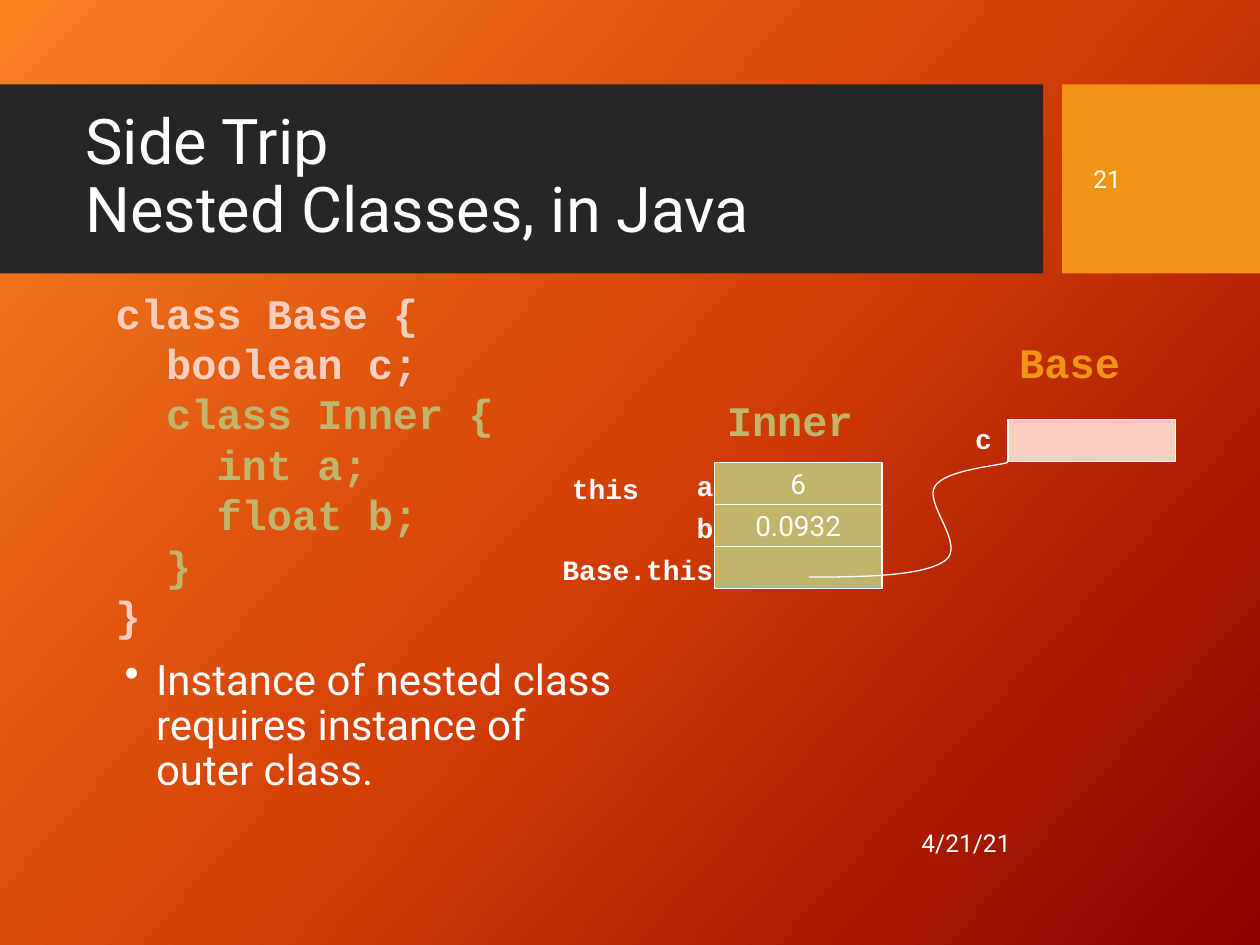
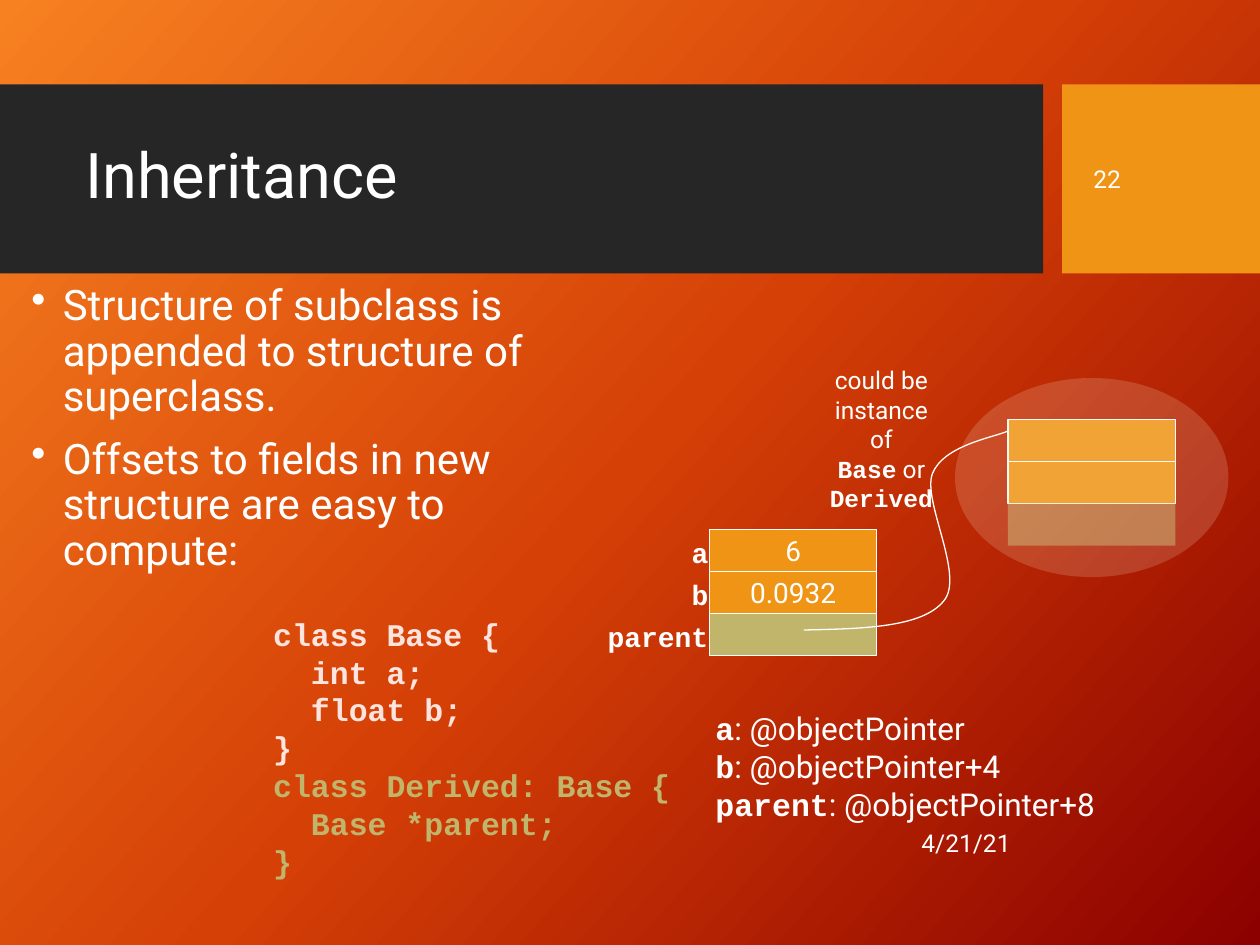
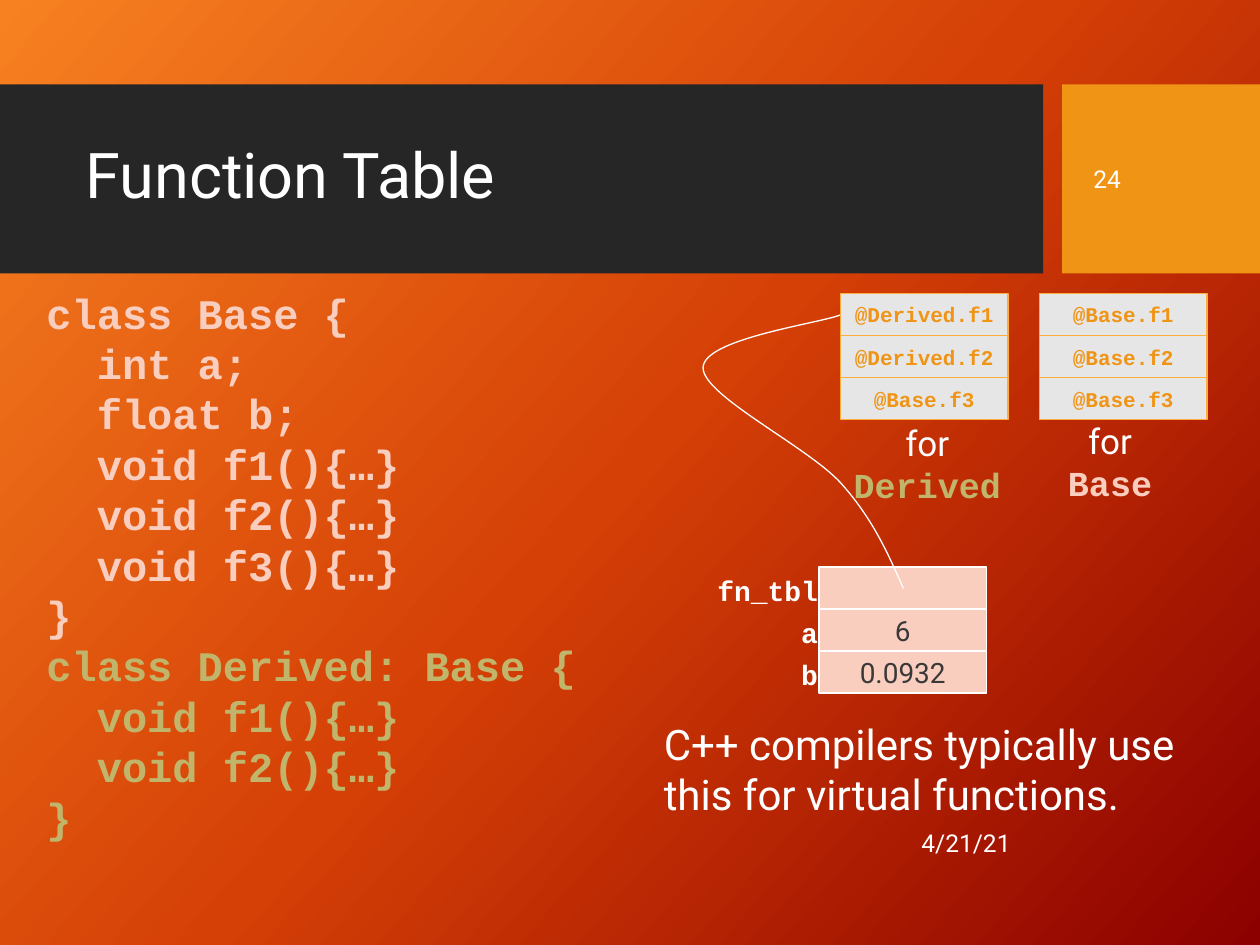
from copy import deepcopy
from dataclasses import dataclass
from typing import NamedTuple, Optional, Sequence, Union

from pptx import Presentation
from pptx.dml.color import RGBColor
from pptx.enum.shapes import MSO_SHAPE as Preset
from pptx.enum.text import MSO_ANCHOR as Anchor, PP_ALIGN as Align
from pptx.oxml.ns import qn
from pptx.oxml.xmlchemy import OxmlElement as make
from pptx.util import Inches, Pt

WHITE = RGBColor(0xFF, 0xFF, 0xFF)
DARK = RGBColor(0x26, 0x26, 0x26)
INK = RGBColor(0x3A, 0x38, 0x38)
AMBER = RGBColor(0xF0, 0x94, 0x15)
GOLD = RGBColor(0xFF, 0xAE, 0x3E)
CREAM = RGBColor(0xFC, 0xE8, 0xCF)
PINK = RGBColor(0xFA, 0xCE, 0xBE)
BLUSH = RGBColor(0xFE, 0xE4, 0xDE)
OLIVE = RGBColor(0xC1, 0xB5, 0x6B)
SILVER = RGBColor(0xE7, 0xE6, 0xE6)
GLOW = (
    (0, RGBColor(0xF7, 0x81, 0x21)),
    (0.5, RGBColor(0xD5, 0x40, 0x06)),
    (1, RGBColor(0x8C, 0x00, 0x00)),
)
SANS, MONO = "Roboto", "Courier New"
DATE = "4/21/21"
CELL = 1.33
ROW = 1 / 3


class Box(NamedTuple):
    left: float
    top: float
    width: float
    height: float

    def size(self) -> list:
        return [Inches(side) for side in self]


@dataclass
class Run:
    text: str
    font: str = SANS
    color: Optional[RGBColor] = None
    bold: bool = False


@dataclass
class Look:
    fill: RGBColor
    line: Optional[RGBColor] = WHITE
    color: RGBColor = WHITE
    font: str = SANS
    size: float = 16
    bold: bool = False
    alpha: Optional[int] = None


Para = Union[str, Sequence[Run]]
Point = tuple[float, float]
OLIVES = Look(OLIVE)
AMBERS = Look(AMBER)
PINKS = Look(PINK, color=INK)
TABLE = Look(SILVER, line=GOLD, color=AMBER, font=MONO, size=12, bold=True)


def write(frame, text: Union[str, Sequence[Para]], *, size: float,
          font: str = SANS, color: RGBColor = WHITE, bold: bool = False,
          align=Align.LEFT, anchor=Anchor.TOP, wrap: bool = True,
          lead: Optional[float] = None, before: float = 0,
          bullet: bool = False) -> None:
    frame.word_wrap = wrap
    frame.vertical_anchor = anchor
    paras = [text] if isinstance(text, str) else text
    for at, para in enumerate(paras):
        line = frame.add_paragraph() if at else frame.paragraphs[0]
        line.alignment = align
        if lead:
            line.line_spacing = lead
        if at and before:
            line.space_before = Pt(before)
        if bullet:
            mark(line)
        runs = [Run(para, font, color, bold)] if isinstance(para, str) else para
        for run in runs:
            for turn, piece in enumerate(run.text.split("\n")):
                if turn:
                    line.add_line_break()
                if not piece:
                    continue
                part = line.add_run()
                part.text = piece
                part.font.name = run.font
                part.font.size = Pt(size)
                part.font.bold = run.bold
                part.font.color.rgb = run.color or color


def mark(line) -> None:
    props = line._p.get_or_add_pPr()
    props.set("marL", str(Inches(0.25)))
    props.set("indent", str(Inches(-0.25)))
    sign = make("a:buChar")
    sign.set("char", "•")
    props.append(sign)


def note(slide, box: Box, text: Union[str, Sequence[Para]], **form) -> None:
    write(slide.shapes.add_textbox(*box.size()).text_frame, text, **form)


def block(slide, box: Box, look: Look, text: str = "",
          preset=Preset.RECTANGLE) -> None:
    shape = slide.shapes.add_shape(preset, *box.size())
    shape.shadow.inherit = False
    shape.fill.solid()
    shape.fill.fore_color.rgb = look.fill
    if look.alpha:
        alpha = make("a:alpha")
        alpha.set("val", str(look.alpha * 1000))
        shape.element.find(".//" + qn("a:srgbClr")).append(alpha)
    if look.line:
        shape.line.color.rgb = look.line
        shape.line.width = Pt(0.75)
    else:
        shape.line.fill.background()
    if text:
        write(shape.text_frame, text, size=look.size, font=look.font,
              color=look.color, bold=look.bold, align=Align.CENTER,
              anchor=Anchor.MIDDLE, wrap=False)


def label(slide, right: float, top: float, text: str) -> None:
    width = 0.2 + 0.14 * len(text)
    note(slide, Box(right - width, top, width, 0.37), text, size=16,
         font=MONO, bold=True, align=Align.RIGHT, wrap=False)


def stack(slide, left: float, top: float,
          cells: Sequence[tuple[str, str, Look]]) -> None:
    for at, (name, value, look) in enumerate(cells):
        high = top + at * ROW
        block(slide, Box(left, high, CELL, ROW), look, value)
        if name:
            label(slide, left + 0.09, high, name)


def code(slide, box: Box, size: float, *parts: tuple[RGBColor, str]) -> None:
    lines = [[Run(line, MONO, color, True)]
             for color, text in parts for line in text.split("\n")]
    note(slide, box, lines, size=size, wrap=False)


def curve(slide, start: Point, *points: Point) -> None:
    pen = slide.shapes.build_freeform(*map(Inches, start))
    pen.add_line_segments([(Inches(x), Inches(y)) for x, y in points],
                          close=False)
    shape = pen.convert_to_shape()
    shape.shadow.inherit = False
    shape.fill.background()
    shape.line.color.rgb = WHITE
    shape.line.width = Pt(0.75)
    track = shape.element.find(".//" + qn("a:path"))
    steps = track.findall(qn("a:lnTo"))
    for at in range(0, len(steps), 3):
        bend = make("a:cubicBezTo")
        for step in steps[at:at + 3]:
            bend.append(step[0])
            track.remove(step)
        track.append(bend)


def points(slide, box: Box, *text: str) -> None:
    note(slide, box, text, size=24, lead=0.9, before=10, bullet=True)


def paint(master) -> None:
    fill = master.background.fill
    fill.gradient()
    fill.gradient_angle = 360 - 42
    stops = master.element.find(".//" + qn("p:bg")).find(".//" + qn("a:gsLst"))
    stops.insert(1, deepcopy(stops[0]))
    for stop, (place, color) in zip(fill.gradient_stops, GLOW):
        stop.position = place
        stop.color.rgb = color


def start(deck, title: str, page: int):
    slide = deck.slides.add_slide(deck.slide_layouts[6])
    block(slide, Box(0, 0.67, 8.28, 1.5), Look(DARK, line=None))
    block(slide, Box(8.43, 0.67, 1.57, 1.5), Look(AMBER, line=None))
    note(slide, Box(0.58, 0.82, 7.54, 1.18), title, size=36, lead=0.9,
         anchor=Anchor.MIDDLE)
    note(slide, Box(5.87, 6.49, 2.25, 0.4), DATE, size=14,
         align=Align.RIGHT, anchor=Anchor.MIDDLE)
    note(slide, Box(8.58, 0.82, 1.27, 1.19), str(page), size=14,
         anchor=Anchor.MIDDLE)
    return slide


def nested(deck) -> None:
    slide = start(deck, "Side Trip\nNested Classes, in Java", 21)
    points(slide, Box(0.89, 5.18, 4.17, 1.42),
           "Instance of nested class requires instance of outer class.")
    code(slide, Box(0.82, 2.23, 3.23, 2.93), 24,
         (PINK, "class Base {\n  boolean c;"),
         (OLIVE, "  class Inner {\n    int a;\n    float b;\n  }"),
         (PINK, "}"))
    stack(slide, 5.67, 3.67, [("a", "6", OLIVES), ("b", "0.0932", OLIVES),
                              ("Base.this", "", OLIVES)])
    block(slide, Box(8, 3.33, CELL, ROW), PINKS)
    curve(slide, (6.42, 4.58),
          (6.88, 4.58), (7.33, 4.57), (7.5, 4.45),
          (7.67, 4.33), (7.33, 3.99), (7.42, 3.86),
          (7.5, 3.73), (7.9, 3.7), (8, 3.67))
    label(slide, 5.17, 3.69, "this")
    label(slide, 7.97, 3.3, "c")
    code(slide, Box(7.99, 2.62, 1.01, 0.5), 24, (AMBER, "Base"))
    code(slide, Box(5.67, 3.08, 1.21, 0.5), 24, (OLIVE, "Inner"))


def inherit(deck) -> None:
    slide = start(deck, "Inheritance", 22)
    points(slide, Box(0.15, 2.21, 4.17, 2.55),
           "Structure of subclass is appended to structure of superclass.",
           "Offsets to fields in new structure are easy to compute:")
    code(slide, Box(2.07, 4.83, 3.37, 2.22), 18,
         (BLUSH, "class Base {\n  int a;\n  float b;\n}"),
         (OLIVE, "class Derived: Base {\n  Base *parent;\n}"))
    stack(slide, 5.63, 4.2, [("a", "6", AMBERS), ("b", "0.0932", AMBERS),
                             ("parent", "", OLIVES)])
    stack(slide, 8, 3.33, [("", "", AMBERS), ("", "", AMBERS),
                           ("", "", Look(OLIVE, line=None, alpha=50))])
    curve(slide, (6.38, 5),
          (6.85, 4.99), (7.32, 4.98), (7.49, 4.77),
          (7.66, 4.57), (7.32, 3.98), (7.4, 3.76),
          (7.49, 3.53), (7.9, 3.47), (8, 3.42))
    fields = {"a": "", "b": "+4", "parent": "+8"}
    note(slide, Box(5.58, 5.58, 3.26, 1),
         [[Run(name, MONO, bold=True), Run(f": @objectPointer{shift}")]
          for name, shift in fields.items()], size=18)
    block(slide, Box(7.58, 3, 2.17, 1.58), Look(CREAM, line=None, alpha=18),
          preset=Preset.OVAL)
    note(slide, Box(6.42, 2.85, 1.15, 1.04),
         ["could be", "instance of",
          [Run("Base", MONO, bold=True), Run(" or")],
          [Run("Derived", MONO, bold=True)]],
         size=14, align=Align.CENTER)


def table(deck) -> None:
    slide = start(deck, "Function Table", 24)
    code(slide, Box(0.27, 2.23, 4.44, 4.54), 24,
         (PINK, "class Base {\n  int a;\n  float b;\n  void f1(){…}\n"
                "  void f2(){…}\n  void f3(){…}\n}"),
         (OLIVE, "class Derived: Base {\n  void f1(){…}\n  void f2(){…}\n}"))
    stack(slide, 6.5, 4.5, [("fn_tbl", "", PINKS), ("a", "6", PINKS),
                            ("b", "0.0932", PINKS)])
    curve(slide, (7.17, 4.67),
          (7.05, 4.4), (6.93, 4.12), (6.67, 3.83),
          (6.4, 3.54), (5.58, 3.14), (5.58, 2.92),
          (5.58, 2.69), (6.49, 2.57), (6.67, 2.5))
    for left, owners, box, color in (
        (6.67, ("Derived", "Derived", "Base"), Box(6.67, 3.3, 1.38, 0.77), OLIVE),
        (8.25, ("Base", "Base", "Base"), Box(8.37, 3.28, 0.88, 0.77), PINK),
    ):
        stack(slide, left, 2.33, [("", f"@{owner}.f{at}", TABLE)
                                  for at, owner in enumerate(owners, 1)])
        note(slide, box, [[Run("for\n"), Run(owners[0], MONO, color, True)]],
             size=20, align=Align.CENTER)
    note(slide, Box(5.17, 5.65, 4.33, 0.91),
         "C++ compilers typically use\nthis for virtual functions.", size=24)


def main() -> None:
    deck = Presentation()
    deck.slide_width, deck.slide_height = Inches(10), Inches(7.5)
    paint(deck.slide_master)
    for build in (nested, inherit, table):
        build(deck)
    deck.save("out.pptx")


if __name__ == "__main__":
    main()
